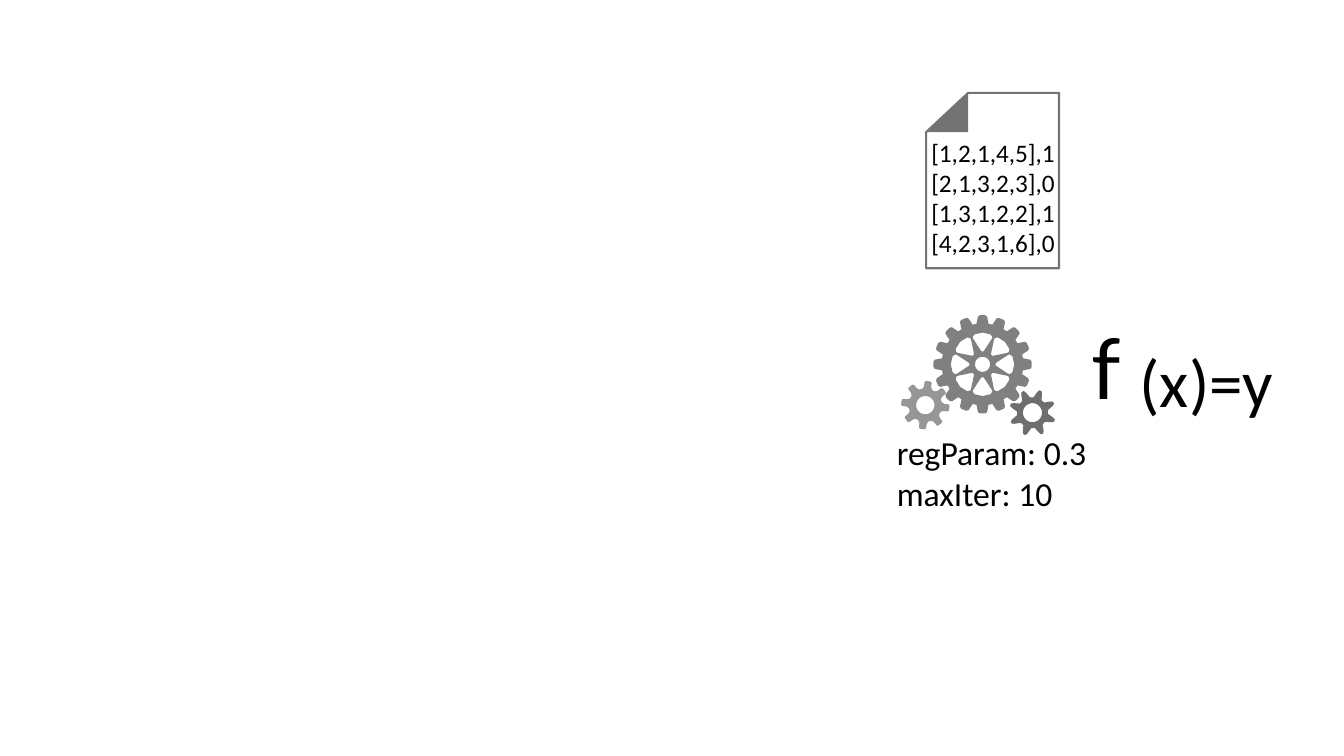
from math import cos, radians, sin

from pptx import Presentation
from pptx.dml.color import RGBColor
from pptx.enum.text import MSO_AUTO_SIZE as AutoSize
from pptx.util import Cm, Pt

COLORS = {
    "text": "000000",
    "paper": "FFFFFF",
    "outline": "737373",
    "large gear": "808080",
    "left gear": "969696",
    "right gear": "6D6E70",
}


def color(name):
    return RGBColor.from_string(COLORS[name])


def add_text(shapes, box, lines, size, font="Calibri", wrap=False):
    left, top, width, height = map(Cm, box)
    frame = shapes.add_textbox(left, top, width, height).text_frame
    frame.word_wrap = wrap
    frame.auto_size = AutoSize.SHAPE_TO_FIT_TEXT
    for index, line in enumerate(lines):
        para = frame.add_paragraph() if index else frame.paragraphs[0]
        span = para.add_run()
        span.text = line
        span.font.name = font
        span.font.size = Pt(size)
        span.font.color.rgb = color("text")


def add_outline(shapes, contours, fill, line=None):
    """Closed contours in cm; inner contours cut holes."""
    contours = [[(Cm(x), Cm(y)) for x, y in points] for points in contours]
    builder = shapes.build_freeform(*contours[0][0], scale=1.0)
    for index, points in enumerate(contours):
        if index:
            builder.move_to(*points[0])
        builder.add_line_segments(points[1:], close=True)
    shape = builder.convert_to_shape()
    shape.shadow.inherit = False
    shape.fill.solid()
    shape.fill.fore_color.rgb = color(fill)
    if line:
        shape.line.color.rgb = color(line)
        shape.line.width = Pt(1.5)
    else:
        shape.line.fill.background()


def polar(center, radius, degrees):
    angle = radians(degrees)
    return center[0] + radius * cos(angle), center[1] + radius * sin(angle)


def repeat_around(center, profile, count, phase):
    """One list of points for each of count equal turns of the profile."""
    return [[polar(center, radius, phase + turn * 360 / count + offset)
             for radius, offset in profile] for turn in range(count)]


def add_gear(shapes, center, fill, teeth, flank, hole, phase=0, window=None):
    # The flank lists (radius, half angle) from the root to the tip of a tooth
    tooth = [(radius, -half) for radius, half in flank]
    tooth += [(radius, half) for radius, half in reversed(flank)]
    rim = sum(repeat_around(center, tooth, teeth, phase), [])
    hub = [polar(center, hole, degrees) for degrees in range(0, 360, 10)]
    windows = repeat_around(center, window, 8, 0) if window else []
    add_outline(shapes, [rim, hub, *windows], fill)


def draw_gears(shapes, left, top):
    add_gear(shapes, (left + 0.61, top + 2.26), "left gear", 8,
             [(0.42, 17), (0.48, 11), (0.58, 9), (0.61, 6)], 0.23, phase=7)
    window = [(0.33, -5), (0.68, -20), (0.73, -20), (0.78, -15), (0.8, 0),
              (0.78, 15), (0.73, 20), (0.68, 20), (0.33, 5)]
    add_gear(shapes, (left + 2.05, top + 1.23), "large gear", 16,
             [(1.03, 8.5), (1.21, 5.5), (1.24, 3)], 0.19, window=window)
    add_gear(shapes, (left + 3.31, top + 2.45), "right gear", 8,
             [(0.39, 16), (0.53, 7), (0.59, 3)], 0.24, phase=20)


def draw_formula(shapes, left, top):
    group = shapes.add_group_shape().shapes
    add_text(group, (left + 1.22, top + 0.64, 3.91, 2.31), ["(x)=y"], 48)
    add_text(group, (left, top, 1.7, 2.82), ["f"], 60, "Lato", wrap=True)


def draw_document(shapes, left, top, width, height):
    group = shapes.add_group_shape().shapes
    right, bottom = left + width, top + height
    fold_x, fold_y = left + 1.06, top + 0.99
    # Sheet and its folded corner
    sheet = [(right, bottom), (left, bottom), (left, fold_y),
             (fold_x, top), (right, top)]
    add_outline(group, [sheet], "paper", "outline")
    add_outline(group, [[(fold_x, fold_y), (left, fold_y), (fold_x, top)]],
                "outline")
    # Labelled training rows
    rows = ["[1,2,1,4,5],1", "[2,1,3,2,3],0", "[1,3,1,2,2],1", "[4,2,3,1,6],0"]
    add_text(group, (left - 0.12, fold_y, 3.66, 3.33), rows, 18)


def draw_parameters(shapes, left, top):
    add_text(shapes, (left, top, 5.33, 2.31),
             ["regParam: 0.3", "maxIter: 10"], 24)


def main():
    deck = Presentation()
    deck.slide_width, deck.slide_height = Cm(33.87), Cm(19.05)
    page = deck.slides.add_slide(deck.slide_layouts[6])
    draw_gears(page.shapes, 22.71, 7.95)
    draw_formula(page.shapes, 27.25, 7.82)
    draw_document(page.shapes, 23.34, 2.34, 3.35, 4.42)
    draw_parameters(page.shapes, 22.35, 10.77)
    deck.save("out.pptx")


if __name__ == "__main__":
    main()
